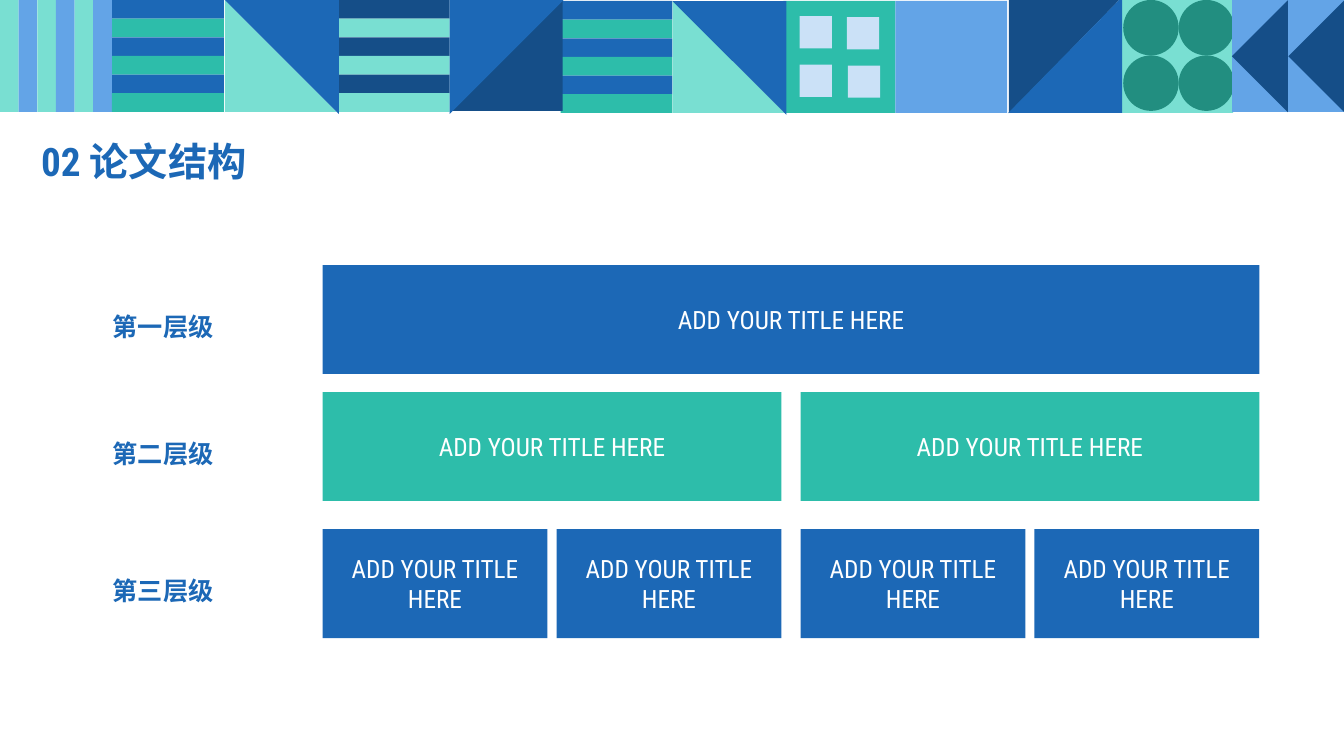
"""Build the thesis structure slide with a geometric banner and three levels."""
from pptx import Presentation
from pptx.dml.color import RGBColor
from pptx.enum.shapes import MSO_SHAPE as SHAPE
from pptx.enum.text import MSO_ANCHOR as ANCHOR, MSO_AUTO_SIZE as AUTO_SIZE, PP_ALIGN as ALIGN
from pptx.util import Inches, Pt

BLUE = RGBColor(0x1C, 0x68, 0xB6)
NAVY = RGBColor(0x15, 0x4E, 0x88)
SKY = RGBColor(0x63, 0xA4, 0xE7)
PALE = RGBColor(0xCB, 0xE1, 0xF7)
TEAL = RGBColor(0x2D, 0xBD, 0xAA)
MINT = RGBColor(0x79, 0xDF, 0xD2)
GREEN = RGBColor(0x22, 0x8E, 0x80)
WHITE = RGBColor(0xFF, 0xFF, 0xFF)
FONT = "Roboto Condensed"

TITLE = "02 论文结构"
BAR_TEXT = "ADD YOUR TITLE HERE"
LEVELS = [
    ("第一层级", 2.63, BLUE, 0),
    ("第二层级", 3.89, TEAL, 0.19),
    ("第三层级", 5.25, BLUE, 0.09),
]
BARS_LEFT, BARS_WIDTH, BAR_HEIGHT = 3.2, 9.29, 1.08

TILE = 1.11
STRIPES = 6
STRIPE = TILE / STRIPES
STRIPED_TILES = [
    (1.11, 0, BLUE, TEAL),
    (3.35, 0, NAVY, MINT),
    (5.56, 0.01, BLUE, TEAL),
]
TRIANGLES = [
    (2.23, 0, 1.11, 1.11, 0, MINT),
    (2.23, 0, 1.13, 1.13, 180, BLUE),
    (9.99, 0, 1.14, 1.11, 90, NAVY),
    (9.99, -0.02, 1.15, 1.13, 270, BLUE),
    (4.47, -0.01, 1.11, 1.11, 270, NAVY),
    (4.46, 0, 1.13, 1.13, 90, BLUE),
    (6.67, 0.01, 1.11, 1.11, 0, MINT),
    (6.67, 0.01, 1.13, 1.13, 180, BLUE),
]
WINDOWS = [(8.4, 0.17), (7.93, 0.16), (8.41, 0.65), (7.93, 0.64)]
DOT = 0.55
ARROW_LEFTS = [11.94, 12.5]


def add_block(slide, kind, left, top, width, height, color, rotation=0):
    shape = slide.shapes.add_shape(
        kind, Inches(left), Inches(top), Inches(width), Inches(height))
    shape.shadow.inherit = False
    shape.fill.solid()
    shape.fill.fore_color.rgb = color
    shape.line.fill.background()
    shape.rotation = rotation
    return shape


def write(shape, text, size, color, bold=False):
    shape.text_frame.text = text
    paragraph = shape.text_frame.paragraphs[0]
    font = paragraph.runs[0].font
    font.name, font.size, font.bold = FONT, Pt(size), bold
    font.color.rgb = color
    return paragraph


def add_text(slide, text, left, top, width, height, size):
    box = slide.shapes.add_textbox(
        Inches(left), Inches(top), Inches(width), Inches(height))
    return box.text_frame, write(box, text, size, BLUE, bold=True)


def add_banner(slide):
    for index in range(STRIPES):
        add_block(slide, SHAPE.RECTANGLE, index * STRIPE, 0, STRIPE, TILE,
                  (MINT, SKY)[index % 2])
        for left, top, *colors in STRIPED_TILES:
            add_block(slide, SHAPE.RECTANGLE, left, top + index * STRIPE, TILE, STRIPE,
                      colors[index % 2])

    add_block(slide, SHAPE.RECTANGLE, 7.77, 0.01, TILE, TILE, TEAL)
    for left, top in WINDOWS:
        add_block(slide, SHAPE.RECTANGLE, left, top, 0.32, 0.32, PALE)
    add_block(slide, SHAPE.RECTANGLE, 8.88, 0.01, TILE, TILE, SKY)

    add_block(slide, SHAPE.RECTANGLE, 11.12, 0, TILE, 1.12, MINT)
    for index in range(4):
        row, column = divmod(index, 2)
        add_block(slide, SHAPE.OVAL, 11.14 + column * DOT, row * DOT, DOT, DOT, GREEN)

    for *frame, rotation, color in TRIANGLES:
        add_block(slide, SHAPE.RIGHT_TRIANGLE, *frame, color, rotation)

    add_block(slide, SHAPE.RECTANGLE, 12.22, 0, TILE, TILE, SKY)
    for left in ARROW_LEFTS:
        add_block(slide, SHAPE.ISOSCELES_TRIANGLE, left, 0.28, TILE, TILE / 2, NAVY, 270)


def split(spans, gap):
    halves = []
    for left, width in spans:
        half = (width - gap) / 2
        halves += [(left, half), (left + half + gap, half)]
    return halves


def add_levels(slide):
    spans = [(BARS_LEFT, BARS_WIDTH)]
    for label, top, color, gap in LEVELS:
        if gap:
            spans = split(spans, gap)
        for left, width in spans:
            bar = add_block(slide, SHAPE.RECTANGLE, left, top, width, BAR_HEIGHT, color)
            write(bar, BAR_TEXT, 18, WHITE).alignment = ALIGN.CENTER
            bar.text_frame.vertical_anchor = ANCHOR.MIDDLE
        frame, paragraph = add_text(slide, label, 1.02, top + 0.26, 1.21, 0.56, 18)
        frame.word_wrap = False
        frame.auto_size = AUTO_SIZE.SHAPE_TO_FIT_TEXT
        paragraph.line_spacing = 1.5


def main():
    presentation = Presentation()
    presentation.slide_width, presentation.slide_height = Inches(13.33), Inches(7.5)
    slide = presentation.slides.add_slide(presentation.slide_layouts[6])
    add_banner(slide)
    frame, paragraph = add_text(slide, TITLE, 0.31, 1.31, 3.84, 0.63, 28)
    frame.word_wrap = True
    frame.vertical_anchor = ANCHOR.MIDDLE
    paragraph.line_spacing = 0.9
    paragraph.space_before = Pt(10)
    add_levels(slide)
    presentation.save("out.pptx")


if __name__ == "__main__":
    main()
